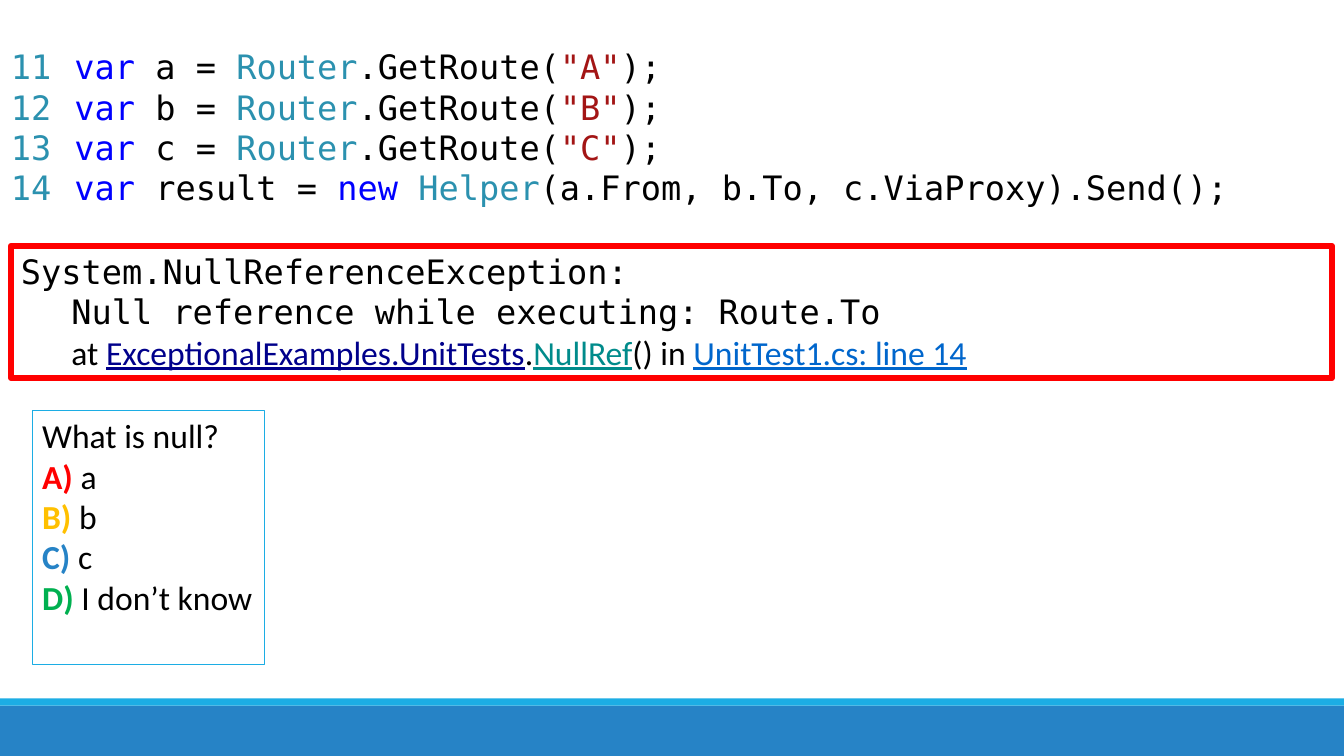
import pptx
import pptx.util
import pptx.dml.color
import pptx.enum.shapes
import pptx.enum.text

Inches = pptx.util.Inches
RGBColor = pptx.dml.color.RGBColor

BLACK = RGBColor(0x00, 0x00, 0x00)
KEYWORD = RGBColor(0x00, 0x00, 0xFF)
TYPE = RGBColor(0x2B, 0x91, 0xAF)
STRING = RGBColor(0xA3, 0x15, 0x15)
CLASS_LINK = RGBColor(0x00, 0x00, 0x8B)
METHOD_LINK = RGBColor(0x00, 0x8B, 0x8B)
FILE_LINK = RGBColor(0x00, 0x66, 0xCC)
RED = RGBColor(0xFF, 0x00, 0x00)
YELLOW = RGBColor(0xFF, 0xC0, 0x00)
BLUE = RGBColor(0x26, 0x83, 0xC6)
GREEN = RGBColor(0x00, 0xB0, 0x50)
CYAN = RGBColor(0x1C, 0xAD, 0xE4)

CODE_FONT, BODY_FONT = "DejaVu Sans Mono", "Calibri"
WIDTH, HEIGHT = 13.33, 7.5

# Content: each line is a list of runs (text, colour, font, style)
FIRST_LINE = 11
ROUTES = ["a", "b", "c"]
ANSWERS = [("A", "a", RED), ("B", "b", YELLOW), ("C", "c", BLUE),
           ("D", "I don’t know", GREEN)]


def code(text, colour=BLACK):
    return text, colour, CODE_FONT, ""


def body(text, colour=BLACK, style=""):
    return text, colour, BODY_FONT, style


code_lines = [
    [code("var", KEYWORD), code(f" {name} = "), code("Router", TYPE),
     code(".GetRoute("), code(f'"{name.upper()}"', STRING), code(");")]
    for name in ROUTES
]
code_lines.append([
    code("var", KEYWORD), code(" result = "), code("new", KEYWORD), code(" "),
    code("Helper", TYPE), code("(a.From, b.To, c.ViaProxy).Send();")])
number_lines = [[code(str(FIRST_LINE + index), TYPE)]
                for index in range(len(code_lines))]
exception_lines = [
    [code("System.NullReferenceException:")],
    [code("Null reference while executing: Route.To")],
    [body("at "), body("ExceptionalExamples.UnitTests", CLASS_LINK, "underline"),
     body("."), body("NullRef", METHOD_LINK, "underline"), body("() in "),
     body("UnitTest1.cs: line 14", FILE_LINK, "underline")],
]
quiz_lines = [[body("What is null?")]] + [
    [body(f"{letter}) ", colour, "bold"), body(answer)]
    for letter, answer, colour in ANSWERS]

presentation = pptx.Presentation()
presentation.slide_width = Inches(WIDTH)
presentation.slide_height = Inches(HEIGHT)
slide = presentation.slides.add_slide(presentation.slide_layouts[6])


def add_rectangle(left, top, width, height, fill=None, line=None, weight=0):
    shape = slide.shapes.add_shape(
        pptx.enum.shapes.MSO_SHAPE.RECTANGLE,
        Inches(left), Inches(top), Inches(width), Inches(height))
    shape.shadow.inherit = False
    if fill is None:
        shape.fill.background()
    else:
        shape.fill.solid()
        shape.fill.fore_color.rgb = fill
    if line is None:
        shape.line.fill.background()
    else:
        shape.line.color.rgb = line
        shape.line.width = pptx.util.Pt(weight)
    return shape


def add_text_box(left, top, width, height):
    return slide.shapes.add_textbox(
        Inches(left), Inches(top), Inches(width), Inches(height))


def write_lines(shape, lines, indent=0):
    """Fill the shape with lines; all after the first take the indent."""
    frame = shape.text_frame
    frame.word_wrap = True
    frame.margin_right = 0
    frame.vertical_anchor = pptx.enum.text.MSO_ANCHOR.TOP
    for index, runs in enumerate(lines):
        paragraph = frame.add_paragraph() if index else frame.paragraphs[0]
        paragraph.alignment = pptx.enum.text.PP_ALIGN.LEFT
        if index and indent:
            paragraph._p.get_or_add_pPr().set("marL", str(Inches(indent)))
        for text, colour, font, style in runs:
            run = paragraph.add_run()
            run.text = text
            run.font.size = pptx.util.Pt(24)
            run.font.name = font
            run.font.color.rgb = colour
            run.font.bold = style == "bold"
            run.font.underline = style == "underline"


# Footer bands
FOOTER, STRIPE = 0.5, 0.07
add_rectangle(0, HEIGHT - FOOTER, WIDTH, FOOTER, fill=BLUE)
add_rectangle(0, HEIGHT - FOOTER - STRIPE, WIDTH, STRIPE, fill=CYAN)

# Code listing with line numbers
CODE_TOP, CODE_HEIGHT, GUTTER = 0.41, 1.72, 0.64
write_lines(add_text_box(0.01, CODE_TOP, GUTTER, CODE_HEIGHT), number_lines)
write_lines(add_text_box(GUTTER, CODE_TOP, 12.47, CODE_HEIGHT), code_lines)

# Exception message
write_lines(add_rectangle(0.11, 2.44, 13.1, 1.31, line=RED, weight=4.5),
            exception_lines, indent=0.5)

# Quiz
write_lines(add_rectangle(0.32, 4.07, 2.3, 2.52, line=CYAN, weight=0.75),
            quiz_lines)

presentation.save("out.pptx")
